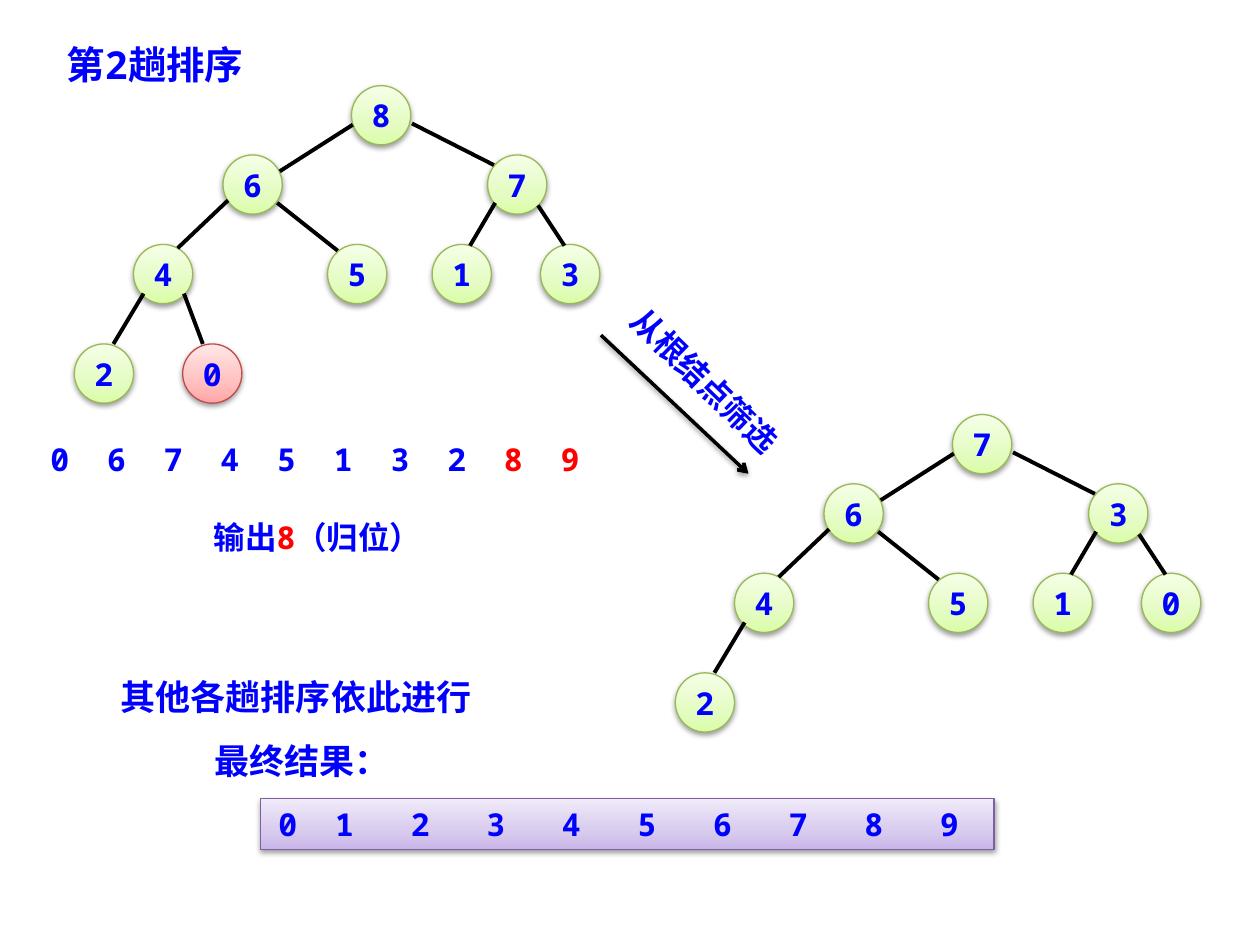
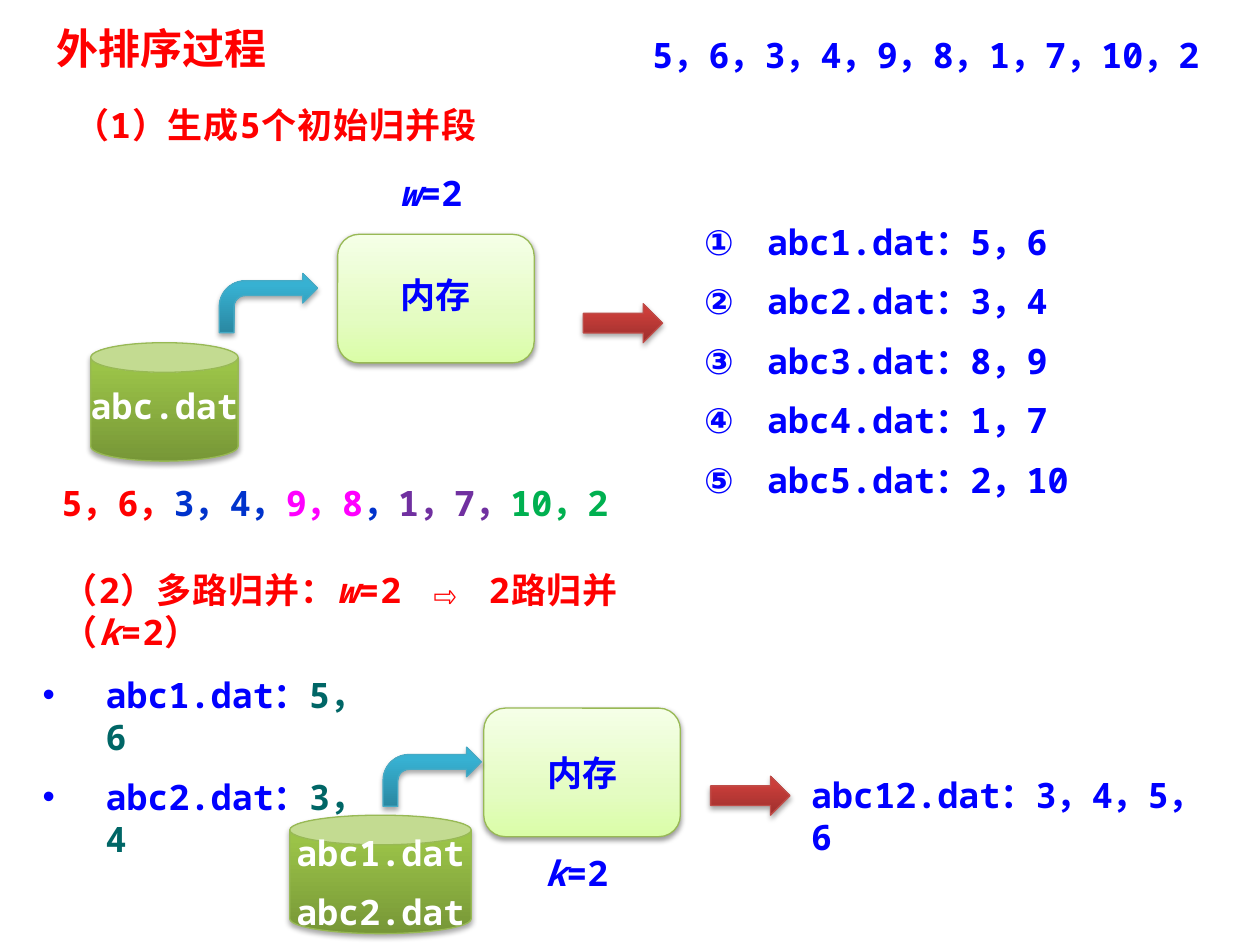
from lxml import etree
from pptx import Presentation
from pptx.dml.color import RGBColor
from pptx.enum import shapes, text
from pptx.oxml import parse_xml
from pptx.oxml.ns import nsdecls, qn
from pptx.util import Inches, Pt

MONO, CJK = "Noto Sans Mono", "Noto Sans CJK SC"
BLUE = RGBColor(0x00, 0x00, 0xFF)
RED = RGBColor(0xFF, 0x00, 0x00)
NAVY = RGBColor(0x00, 0x33, 0xCC)
PINK = RGBColor(0xFF, 0x00, 0xFF)
PURPLE = RGBColor(0x70, 0x30, 0xA0)
GREEN = RGBColor(0x00, 0xB0, 0x50)
TEAL = RGBColor(0x00, 0x66, 0x66)
WHITE = RGBColor(0xFF, 0xFF, 0xFF)
BLACK = RGBColor(0x00, 0x00, 0x00)
LIME_LINE = RGBColor(0x98, 0xB9, 0x55)
RED_LINE = RGBColor(0xBF, 0x4C, 0x48)
LILAC_LINE = RGBColor(0x7D, 0x60, 0xA0)
AQUA_LINE = RGBColor(0x46, 0xAA, 0xC5)

# Looks: gradient stops from bottom to top, then outline
LIGHT, STRONG = (0, 35, 100), (0, 80, 100)
SHADOWS = {LIGHT: (38, 1.6), STRONG: (35, 1.8)}  # opacity, distance
LIME = LIGHT, ("DAFDA7", "E4FCC2", "F5FFE7"), LIME_LINE
ROSE = LIGHT, ("FFA6A5", "FFC0BF", "FFE7E7"), RED_LINE
LILAC = LIGHT, ("C9B5E8", "D8CBEE", "F0EAF9"), LILAC_LINE
OLIVE = STRONG, ("779737", "9BC348", "9DC746"), LIME_LINE
AQUA = STRONG, ("2A88A2", "37B1D2", "34B4D6"), AQUA_LINE
BRICK = STRONG, ("9C2F2D", "CB3E3A", "CE3B37"), RED_LINE

# Slide 1: heap slots in level order, and the edge above each slot but the root
NODE = 0.47
SLOTS = [(2.79, 0.68), (1.77, 1.23), (3.87, 1.23), (1.06, 1.94), (2.6, 1.94),
         (3.43, 1.94), (4.29, 1.94), (0.59, 2.73), (1.45, 2.73)]
EDGES = [(2.8, 0.99, 2.22, 1.36), (3.27, 0.98, 3.92, 1.31),
         (1.81, 1.59, 1.41, 1.97), (2.2, 1.61, 2.68, 1.99),
         (3.93, 1.61, 3.73, 1.95), (4.27, 1.63, 4.48, 1.95),
         (1.14, 2.33, 0.9, 2.73), (1.46, 2.33, 1.61, 2.73)]
HEAPS = [("867451320", (0, 0)), ("76345102", (4.77, 2.61))]
MOVED_TO_ROOT = (0, 8)  # heap, slot
SIFT_ARROW = (4.77, 2.66, 5.94, 3.76)
ARRAY = [("0\t6\t7\t4\t5\t1\t3\t2\t", BLUE), ("8\t9", RED)]
ARRAY_TABS = [0.45 * i for i in range(1, 10)]
RESULT = [("0\t1\t2\t3\t4\t5\t6\t7\t8\t9", BLUE)]
RESULT_TABS = [0.45 + 0.6 * i for i in range(9)]
HEAP_NOTES = [  # box, size, centred, rotation, runs
    ((0.43, 0.28, 2.13, 0.47), 22, False, 0, [("第2趟排序", BLUE)]),
    ((1.53, 4.06, 1.98, 0.4), 18, True, 0,
     [("输出", BLUE), ("8", RED), ("（归位）", BLUE)]),
    ((4.65, 2.82, 1.89, 0.4), 18, True, 44.2, [("从根结点筛选", BLUE)]),
    ((0.86, 5.31, 3.75, 0.44), 20, False, 0, [("其他各趟排序依此进行", BLUE)]),
    ((1.34, 5.82, 2.12, 0.44), 20, True, 0, [("最终结果：", BLUE)]),
]

# Slide 2: notes as box, paragraphs of runs, paragraph options
RUN_FILES = ["5，6", "3，4", "8，9", "1，7", "2，10"]
SORT_NOTES = [
    ((0.35, 0.13, 2.19, 0.5), [[("外排序过程", RED)]], {"size": 24, "font": CJK}),
    ((5.08, 0.28, 5, 0.37), [[("5，6，3，4，9，8，1，7，10，2", BLUE)]], {"line": 0.8}),
    ((0.49, 0.77, 4.38, 0.44), [[("（1）生成5个初始归并段", RED)]], {"tracking": 50}),
    ((3.07, 1.31, 0.78, 0.44), [[("w", BLUE, True), ("=2", BLUE)]], {}),
    ((0.39, 3.84, 4.84, 0.37),
     [[("5，6，", RED), ("3，4，", NAVY), ("9，8", PINK), ("，", NAVY),
       ("1，7，", PURPLE), ("10，2", GREEN)]], {"line": 0.8}),
    ((5.49, 1.7, 3.44, 2.46),
     [[(f"abc{n}.dat：{values}", BLUE)] for n, values in enumerate(RUN_FILES, 1)],
     {"bullet": ("buAutoNum", "type", "circleNumDbPlain")}),
    ((0.4, 4.46, 5.31, 0.44),
     [[("（2）多路归并：", RED), ("w", RED, True), ("=2 ⇨ 2路归并（", RED),
       ("k", RED, True), ("=2）", RED)]], {"tracking": 50}),
    ((0.24, 5.3, 2.89, 0.94),
     [[(f"abc{n}.dat：", BLUE), (values, TEAL)]
      for n, values in enumerate(RUN_FILES[:2], 1)],
     {"bullet": ("buChar", "char", "•")}),
    ((4.23, 6.71, 0.78, 0.44), [[("k", BLUE, True), ("=2", BLUE)]], {}),
    ((6.34, 6.09, 3.36, 0.44), [[("abc12.dat：3，4，5，6", BLUE)]], {}),
]
KIND = shapes.MSO_SHAPE
STAGES = [  # memory, disk, load arrow, output arrow, files on disk, line spacing
    ((2.68, 1.86), (0.72, 2.72, 1.17, 0.94), (1.74, 2.17), (4.63, 2.41),
     ["abc.dat"], 0.8),
    ((3.84, 5.62), (2.3, 6.47, 1.44, 0.94), (3.04, 5.93), (5.64, 6.16),
     ["abc1.dat", "abc2.dat"], None),
]


def write(frame, paragraphs, size=20, font=MONO, centred=False, line=None,
          tracking=None, bullet=None, tabs=()):
    for i, runs in enumerate(paragraphs):
        para = frame.add_paragraph() if i else frame.paragraphs[0]
        para.alignment = text.PP_ALIGN.CENTER if centred else text.PP_ALIGN.LEFT
        if line:
            para.line_spacing = line
        props = para._p.get_or_add_pPr()
        before = etree.SubElement(props, qn("a:spcBef"))
        etree.SubElement(before, qn("a:spcPct"), val="50000")
        if bullet:
            tag, key, value = bullet
            props.set("marL", str(Inches(0.5)))
            props.set("indent", str(Inches(-0.5)))
            if tag == "buChar":
                etree.SubElement(props, qn("a:buFont"), typeface="Arial")
            etree.SubElement(props, qn("a:" + tag), {key: value})
        if tabs:
            stops = etree.SubElement(props, qn("a:tabLst"))
            for stop in tabs:
                etree.SubElement(stops, qn("a:tab"), pos=str(Inches(stop)), algn="l")
        for words, color, *italic in runs:
            run = para.add_run()
            run.text = words
            run.font.size, run.font.bold, run.font.name = Pt(size), True, font
            run.font.color.rgb = color
            if italic:
                run.font.italic = True
            rpr = run._r.get_or_add_rPr()
            etree.SubElement(rpr, qn("a:ea"), typeface=CJK)
            if tracking:
                rpr.set("spc", str(tracking))


def add_note(slide, box, paragraphs, rotation=0, inset=0.1, **options):
    note = slide.shapes.add_textbox(*map(Inches, box))
    note.rotation = rotation
    frame = note.text_frame
    frame.word_wrap = True
    frame.auto_size = text.MSO_AUTO_SIZE.SHAPE_TO_FIT_TEXT
    frame.margin_left = Inches(inset)
    write(frame, paragraphs, **options)


def add_shadow(props, opacity, distance):
    props.append(parse_xml(
        f'<a:effectLst {nsdecls("a")}><a:outerShdw blurRad="{Pt(3.1)}" '
        f'dist="{Pt(distance)}" dir="5400000" rotWithShape="0"><a:srgbClr val="000000">'
        f'<a:alpha val="{opacity}000"/></a:srgbClr></a:outerShdw></a:effectLst>'))


def add_solid(slide, kind, box, look, paragraphs=(), **options):
    positions, colors, outline = look
    solid = slide.shapes.add_shape(kind, *map(Inches, box))
    stops = "".join(f'<a:gs pos="{pos}000"><a:srgbClr val="{color}"/></a:gs>'
                    for pos, color in zip(positions, colors))
    props = solid._element.spPr
    props.append(parse_xml(
        f'<a:gradFill {nsdecls("a")} rotWithShape="1"><a:gsLst>{stops}</a:gsLst>'
        '<a:lin ang="16200000" scaled="0"/></a:gradFill>'))
    solid.line.color.rgb = outline
    solid.line.width = Pt(0.75)
    add_shadow(props, *SHADOWS[positions])
    frame = solid.text_frame
    frame.word_wrap = False
    frame.vertical_anchor = text.MSO_ANCHOR.MIDDLE
    write(frame, paragraphs, **options)
    return solid


def add_line(slide, ends, width=2.25, arrow=False):
    line = slide.shapes.add_connector(shapes.MSO_CONNECTOR.STRAIGHT, *map(Inches, ends))
    line.line.color.rgb = BLACK
    line.line.width = Pt(width)
    props = line._element.spPr
    if arrow:
        etree.SubElement(props.find(qn("a:ln")), qn("a:tailEnd"), type="arrow")
        add_shadow(props, *SHADOWS[LIGHT])
    else:
        etree.SubElement(props, qn("a:effectLst"))


def build_heap_sort(slide):
    # Heaps before and after sifting
    for heap, (keys, (dx, dy)) in enumerate(HEAPS):
        for slot, (key, (x, y)) in enumerate(zip(keys, SLOTS)):
            look = ROSE if (heap, slot) == MOVED_TO_ROOT else LIME
            add_solid(slide, KIND.OVAL, (x + dx, y + dy, NODE, NODE), look,
                      [[(key, BLUE)]], size=18, centred=True)
        for x1, y1, x2, y2 in EDGES[:len(keys) - 1]:
            add_line(slide, (x1 + dx, y1 + dy, x2 + dx, y2 + dy))
    add_line(slide, SIFT_ARROW, width=2, arrow=True)
    # Labels and number rows
    for box, size, centred, rotation, runs in HEAP_NOTES:
        add_note(slide, box, [runs], rotation, size=size, centred=centred)
    add_note(slide, (0.23, 3.44, 4.53, 0.4), [ARRAY], inset=0.17, size=18,
             tabs=ARRAY_TABS)
    result = add_solid(slide, KIND.RECTANGLE, (2.07, 6.34, 5.82, 0.4), LILAC, [RESULT],
                       size=18, tabs=RESULT_TABS)
    result.text_frame.word_wrap = True
    result.text_frame.margin_left = Inches(0.14)


def build_external_sort(slide):
    for box, paragraphs, options in SORT_NOTES:
        add_note(slide, box, paragraphs, **options)
    # Disk to memory to output, once per stage
    for memory, disk, load, output, files, line in STAGES:
        add_solid(slide, KIND.ROUNDED_RECTANGLE, (*memory, 1.56, 1.02), LIME,
                  [[("内存", BLUE)]], centred=True, line=line)
        add_solid(slide, KIND.CAN, disk, OLIVE, [[(name, WHITE)] for name in files],
                  centred=True, line=line)
        add_solid(slide, KIND.BENT_ARROW, (*load, 0.78, 0.47), AQUA)
        add_solid(slide, KIND.RIGHT_ARROW, (*output, 0.63, 0.31), BRICK)


def main():
    deck = Presentation()
    deck.slide_width, deck.slide_height = Inches(10), Inches(7.5)
    for build in (build_heap_sort, build_external_sort):
        build(deck.slides.add_slide(deck.slide_layouts[6]))
    deck.save("out.pptx")


if __name__ == "__main__":
    main()
